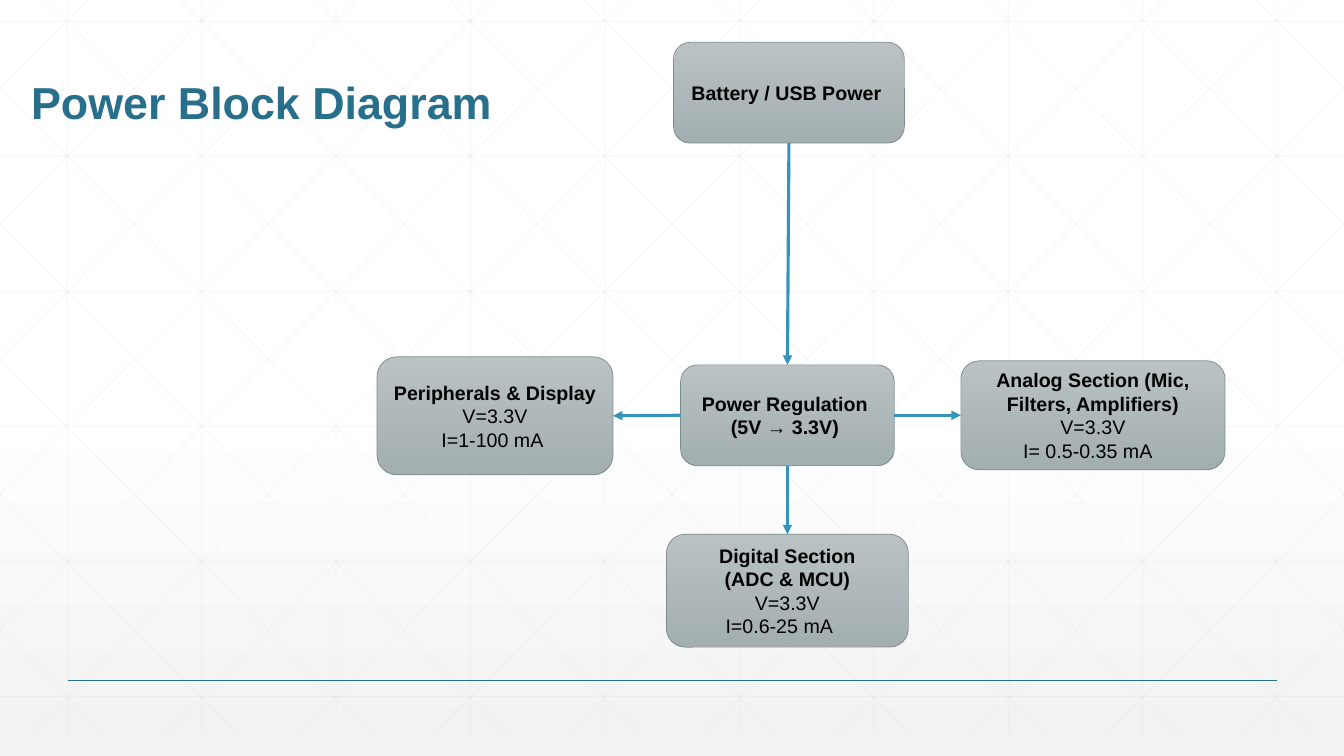
from lxml import etree
from pptx import Presentation
from pptx.dml.color import RGBColor
from pptx.enum.shapes import MSO_CONNECTOR, MSO_SHAPE
from pptx.enum.text import MSO_ANCHOR, PP_ALIGN
from pptx.oxml.ns import qn
from pptx.util import Inches, Pt

TITLE = "Power Block Diagram"
FONT = "Arial"
COLORS = {
    "title": "276F8B", "arrow": "3494BA", "grid": "D9D9D9", "text": "000000",
    "box_top": "BBC2C3", "box_end": "A3AEB0", "edge": "7A8C8E",
    "page_top": "FFFFFF", "page_end": "F2F2F2",
}

# Block: left, top, width, height, lines of (text, bold, right indent)
BLOCKS = {
    "source": (6.68, 0.42, 2.29, 1, [("Battery / USB Power", True, 0.05)]),
    "regulator": (6.75, 3.62, 2.12, 1, [
        ("Power Regulation", True, 0.05), ("(5V → 3.3V)", True, 0.05)]),
    "analog": (9.53, 3.58, 2.62, 1.08, [
        ("Analog Section (Mic, Filters, Amplifiers)", True, 0),
        ("V=3.3V", False, 0), ("I= 0.5-0.35 mA", False, 0.1)]),
    "digital": (6.61, 5.3, 2.4, 1.12, [
        ("Digital Section", True, 0), ("(ADC & MCU)", True, 0),
        ("V=3.3V", False, 0), ("I=0.6-25 mA", False, 0.16)]),
    "display": (3.74, 3.54, 2.34, 1.17, [
        ("Peripherals & Display", True, 0),
        ("V=3.3V", False, 0), ("I=1-100 mA", False, 0.05)]),
}

# Connection sites of a rounded rectangle
UP, LEFT, DOWN, RIGHT = range(4)
ARROWS = [
    ("source", DOWN, "regulator", UP),
    ("regulator", RIGHT, "analog", LEFT),
    ("regulator", DOWN, "digital", UP),
    ("regulator", LEFT, "display", RIGHT),
]

WIDTH, HEIGHT = 13.33, 7.5
GRID_TOP, GRID_END = -0.21, 7.29
STEP = 4 / 3
RUN = 7.45  # sideways reach of a full diagonal


def color(name):
    return RGBColor.from_string(COLORS[name])


def shade(fill, first, last, start=0):
    fill.gradient()
    fill.gradient_angle = 270
    for stop, name, place in zip(fill.gradient_stops, (first, last), (start, 1)):
        stop.color.rgb = color(name)
        stop.position = place


def style(run, size, name, bold):
    run.font.name, run.font.size, run.font.bold = FONT, Pt(size), bold
    run.font.color.rgb = color(name)


def draw_line(slide, x1, y1, x2, y2, name, weight):
    line = slide.shapes.add_connector(
        MSO_CONNECTOR.STRAIGHT, Inches(x1), Inches(y1), Inches(x2), Inches(y2))
    line.line.color.rgb = color(name)
    line.line.width = Pt(weight)
    etree.SubElement(line._element.spPr, qn("a:effectLst"))
    return line


def draw_grid(slide):
    lines = []
    for i in range(10):
        x = (i + 0.5) * STEP
        lines.append((x, GRID_TOP, x, GRID_END))
    for i in range(6):
        y = 0.21 + 1.34 * i
        lines.append((0, y, WIDTH, y))
    # Diagonals clipped at the slide sides, each with its mirror
    slope = (GRID_END - GRID_TOP) / RUN
    for i in range(-5, 10):
        start = 0.25 + STEP * i
        x1, x2 = max(start, 0), min(start + RUN, WIDTH)
        y1, y2 = (GRID_TOP + slope * (x - start) for x in (x1, x2))
        lines.append((x1, y1, x2, y2))
        lines.append((WIDTH - x1, y1, WIDTH - x2, y2))
    for ends in lines:
        line = draw_line(slide, *ends, "grid", 0.5)
        tint = line._element.spPr.find(".//" + qn("a:srgbClr"))
        etree.SubElement(tint, qn("a:alpha"), val="25000")


def draw_title(slide):
    box = slide.shapes.add_textbox(Inches(0.21), Inches(0.33), Inches(12), Inches(1))
    frame = box.text_frame
    frame.word_wrap = True
    frame.vertical_anchor = MSO_ANCHOR.BOTTOM
    frame.text = TITLE
    frame.paragraphs[0].line_spacing = 0.9
    style(frame.paragraphs[0].runs[0], 32, "title", True)


def draw_block(slide, left, top, width, height, lines):
    box = slide.shapes.add_shape(
        MSO_SHAPE.ROUNDED_RECTANGLE,
        Inches(left), Inches(top), Inches(width), Inches(height))
    box.shadow.inherit = False
    shade(box.fill, "box_top", "box_end")
    box.line.color.rgb = color("edge")
    box.line.width = Pt(0.5)
    frame = box.text_frame
    frame.word_wrap = True
    frame.vertical_anchor = MSO_ANCHOR.MIDDLE
    frame.text = "\n".join(text for text, _, _ in lines)
    for para, (_, bold, indent) in zip(frame.paragraphs, lines):
        para.alignment = PP_ALIGN.CENTER
        para._p.get_or_add_pPr().set("marR", str(Inches(indent)))
        style(para.runs[0], 14, "text", bold)
    return box


def main():
    deck = Presentation()
    deck.slide_width, deck.slide_height = Inches(WIDTH), Inches(HEIGHT)
    slide = deck.slides.add_slide(deck.slide_layouts[6])

    # Backdrop
    shade(slide.background.fill, "page_top", "page_end", 0.53)
    draw_grid(slide)
    draw_line(slide, 0.67, 6.75, 12.67, 6.75, "title", 1)

    # Title and blocks
    draw_title(slide)
    boxes = {name: draw_block(slide, *block) for name, block in BLOCKS.items()}

    # Arrows
    for tail, out, head, into in ARROWS:
        arrow = draw_line(slide, 0, 0, 1, 1, "arrow", 2.25)
        arrow.begin_connect(boxes[tail], out)
        arrow.end_connect(boxes[head], into)
        etree.SubElement(arrow.line._get_or_add_ln(), qn("a:tailEnd"), type="triangle")

    deck.save("out.pptx")


if __name__ == "__main__":
    main()
